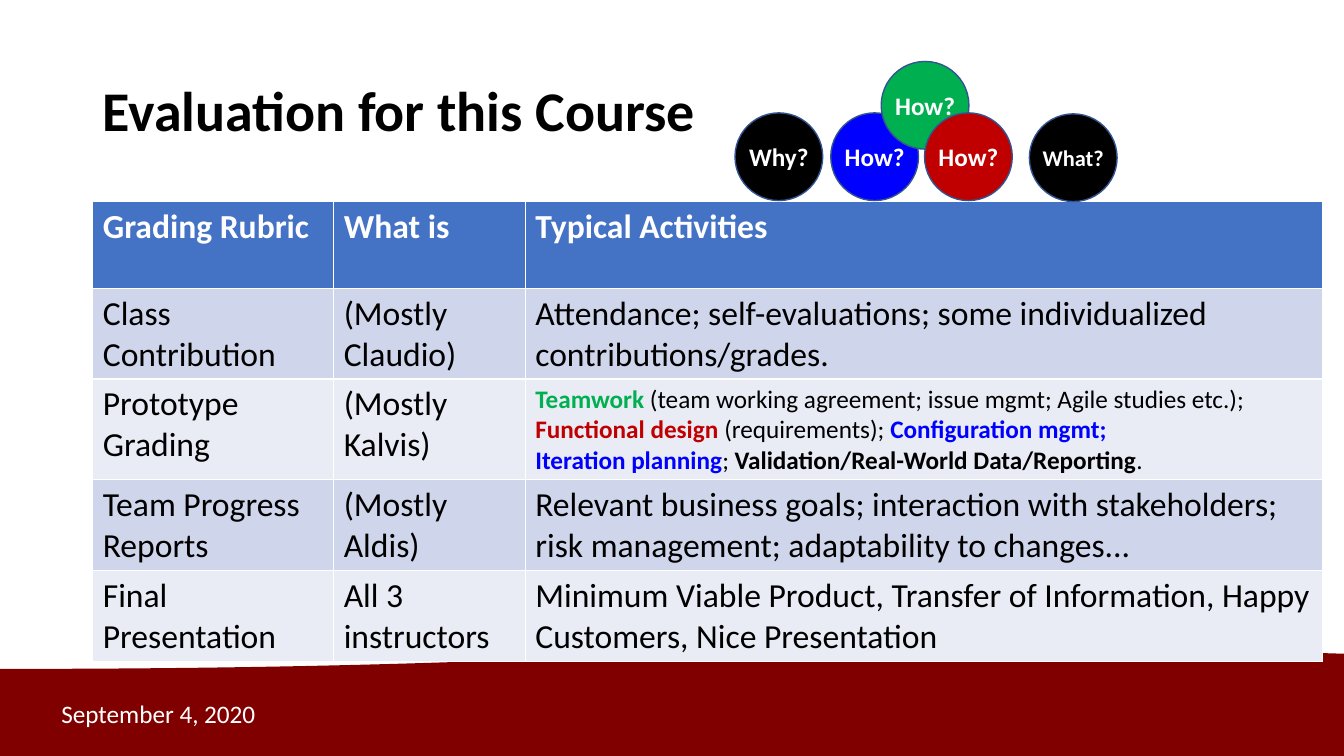
from pptx import Presentation
from pptx.dml.color import RGBColor
from pptx.enum.shapes import MSO_SHAPE as Shape
from pptx.enum.text import MSO_ANCHOR as Anchor, PP_ALIGN as Align
from pptx.util import Inches, Pt

FONT = "Calibri"
HEX = {
    "white": "FFFFFF", "black": "000000", "maroon": "800000",
    "head": "4472C4", "odd": "CFD5EA", "even": "E9EBF5", "edge": "325491",
    "green": "00B050", "red": "C00000", "blue": "0000FF",
}
HEAD = ["Grading Rubric", "What is", "Typical Activities"]
TEAM = [
    [("Teamwork", "green", True),
     (" (team working agreement; issue mgmt; Agile studies etc.); ", "black", False),
     None,
     ("Functional design ", "red", True),
     ("(requirements); ", "black", False),
     ("Configuration mgmt;", "blue", True)],
    [("Iteration planning", "blue", True),
     ("; ", "black", False),
     ("Validation/Real-World Data/Reporting", "black", True),
     (".", "black", False)],
]
ROWS = [
    ["Class Contribution", "(Mostly Claudio)",
     "Attendance; self-evaluations; some individualized contributions/grades."],
    ["Prototype Grading", "(Mostly Kalvis)", TEAM],
    ["Team Progress Reports", "(Mostly Aldis)",
     "Relevant business goals; interaction with stakeholders; "
     "risk management; adaptability to changes..."],
    ["Final Presentation", "All 3 instructors",
     "Minimum Viable Product, Transfer of Information, "
     "Happy Customers, Nice Presentation"],
]
DOTS = [
    ("Why?", "black", 0, 0.51, 18),
    ("How?", "blue", 0.95, 0.51, 18),
    ("How?", "green", 1.45, 0, 18),
    ("How?", "red", 1.88, 0.51, 18),
    ("What?", "black", 2.92, 0.52, 16),
]


def tint(name):
    return RGBColor.from_string(HEX[name])


def paint(fill, name):
    fill.solid()
    fill.fore_color.rgb = tint(name)


def add_run(para, text, size, color, bold=False):
    run = para.add_run()
    run.text = text
    font = run.font
    font.name, font.size, font.bold = FONT, Pt(size), bold
    font.color.rgb = tint(color)


def add_text(slide, box, text, size, color, bold=False):
    frame = slide.shapes.add_textbox(*map(Inches, box)).text_frame
    frame.word_wrap = True
    frame.vertical_anchor = Anchor.MIDDLE
    para = frame.paragraphs[0]
    add_run(para, text, size, color, bold)
    return para


def add_shape(slide, kind, box, color):
    shape = slide.shapes.add_shape(kind, *map(Inches, box))
    shape.shadow.inherit = False
    paint(shape.fill, color)
    return shape


def add_title(slide, box):
    para = add_text(slide, box, "Evaluation for this Course", 40, "black", True)
    para.line_spacing = 0.9


def add_footer(slide, box):
    left, top, width, height = box
    wave = add_shape(slide, Shape.FLOWCHART_DOCUMENT, box, "maroon")
    wave.line.fill.background()
    wave.rotation = 180
    date = (left + 0.51, top + 0.47, 3, 0.4)
    add_text(slide, date, "September 4, 2020", 18, "white")


def fill_cell(cell, content):
    frame = cell.text_frame
    for i, parts in enumerate(content):
        para = frame.add_paragraph() if i else frame.paragraphs[0]
        for part in parts:
            if part is None:
                para.add_line_break()
            else:
                text, color, bold = part
                add_run(para, text, 18, color, bold)


def add_rubric(slide, box):
    rows = [HEAD] + ROWS
    table = slide.shapes.add_table(len(rows), len(HEAD), *map(Inches, box)).table
    for col, width in zip(table.columns, (2.39, 1.9, 7.91)):
        col.width = Inches(width)
    for r, row in enumerate(rows):
        table.rows[r].height = Inches(0.86)
        back = "head" if r == 0 else ("even", "odd")[r % 2]
        for c, content in enumerate(row):
            cell = table.cell(r, c)
            paint(cell.fill, back)
            if isinstance(content, list):
                fill_cell(cell, content)
            else:
                color = "black" if r else "white"
                add_run(cell.text_frame.paragraphs[0], content, 24, color, r == 0)


def add_dots(slide, box):
    left, top, size = box
    for text, color, dx, dy, points in DOTS:
        dot = add_shape(slide, Shape.OVAL, (left + dx, top + dy, size, size), color)
        dot.line.color.rgb = tint("edge")
        dot.line.width = Pt(1)
        frame = dot.text_frame
        frame.margin_left = frame.margin_right = 0
        frame.word_wrap = True
        frame.vertical_anchor = Anchor.MIDDLE
        para = frame.paragraphs[0]
        para.alignment = Align.CENTER
        add_run(para, text, points, "white", True)


def main():
    deck = Presentation()
    deck.slide_width, deck.slide_height = Inches(13.33), Inches(7.5)
    slide = deck.slides.add_slide(deck.slide_layouts[6])
    add_footer(slide, (0, 6.41, 13.33, 1.14))
    add_title(slide, (0.92, 0.4, 11.5, 1.45))
    add_rubric(slide, (0.92, 2, 12.2, 4.3))
    add_dots(slide, (7.29, 0.61, 0.87))
    deck.save("out.pptx")


if __name__ == "__main__":
    main()
